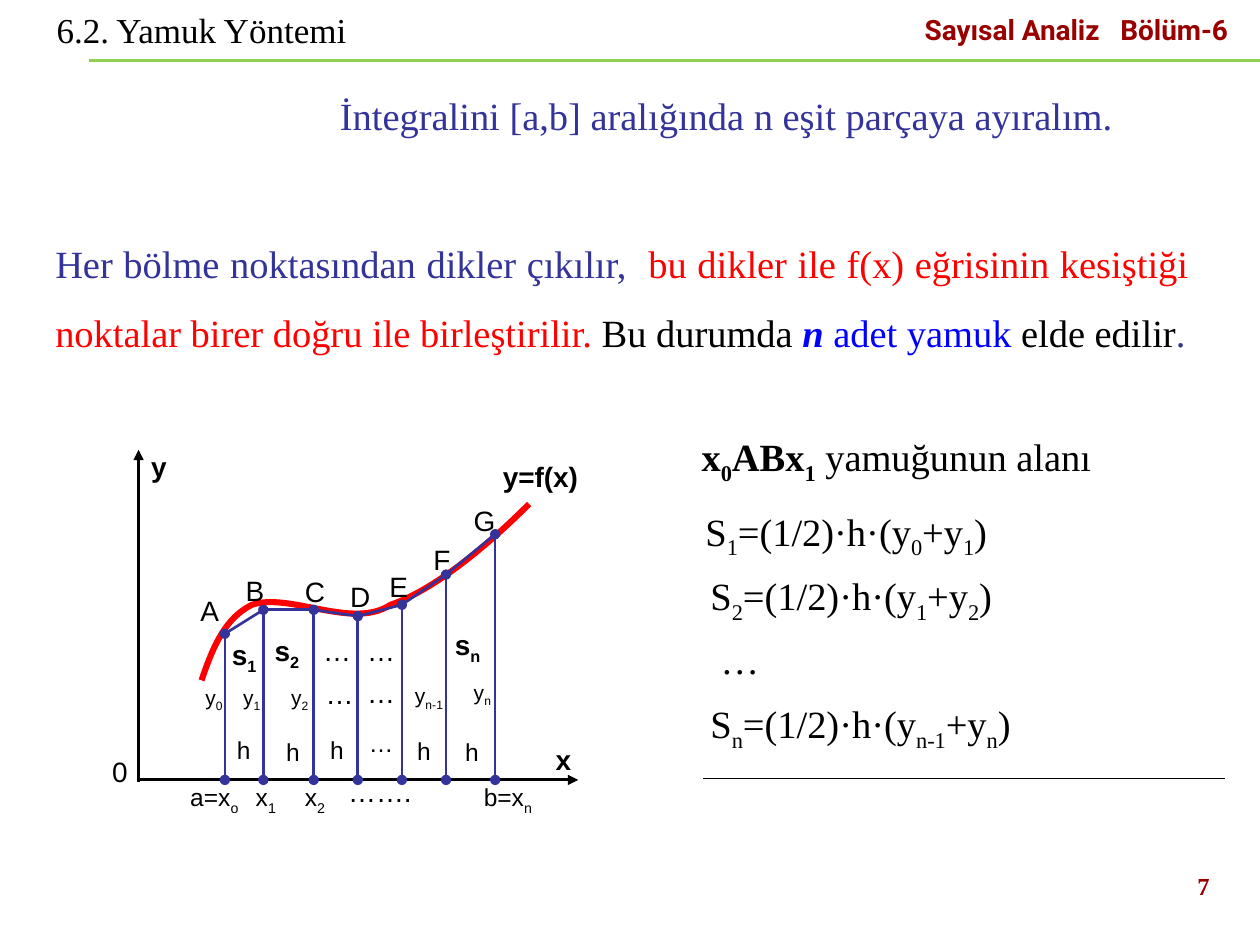
import itertools

import pptx
import pptx.dml.color
import pptx.enum.shapes
import pptx.enum.text
import pptx.oxml
import pptx.oxml.ns
import pptx.util

RGBColor = pptx.dml.color.RGBColor
Align = pptx.enum.text.PP_ALIGN
BLACK = RGBColor(0x00, 0x00, 0x00)
INDIGO = RGBColor(0x33, 0x33, 0x99)
RED = RGBColor(0xFF, 0x00, 0x00)
BLUE = RGBColor(0x00, 0x00, 0xFF)
MAROON = RGBColor(0x99, 0x00, 0x00)
GREEN = RGBColor(0x92, 0xD0, 0x50)
SERIF = "Times New Roman"

deck = pptx.Presentation()
deck.slide_width = pptx.util.Inches(10)
deck.slide_height = pptx.util.Inches(7.5)
slide = deck.slides.add_slide(deck.slide_layouts[6])

# Grid of 100 columns by 75 rows
COL = deck.slide_width / 100
ROW = deck.slide_height / 75


def write(text, left, top, width, height, size=16, font="Arial", color=BLACK, bold=False,
          italic=False, align=Align.LEFT, spacing=None, margins=(0.2, 0), wrap=True):
    """Text is a string or a list of (string, format) parts; {braces} mark subscripts."""
    box = slide.shapes.add_textbox(int(left * COL), int(top * ROW), int(width * COL), int(height * ROW))
    frame = box.text_frame
    frame.word_wrap = wrap
    frame.margin_left = frame.margin_right = int(margins[0] * COL)
    frame.margin_top = frame.margin_bottom = int(margins[1] * ROW)
    paragraph = frame.paragraphs[0]
    paragraph.alignment = align
    if spacing:
        paragraph.line_spacing = spacing
    base = {"color": color, "bold": bold, "italic": italic}
    for part, changes in [(text, {})] if isinstance(text, str) else text:
        look = {**base, **changes}
        for index, piece in enumerate(part.replace("}", "{").split("{")):
            if not piece:
                continue
            run = paragraph.add_run()
            run.text = piece
            run.font.name = font
            run.font.size = pptx.util.Pt(size)
            run.font.bold = look["bold"]
            run.font.italic = look["italic"]
            run.font.color.rgb = look["color"]
            if index % 2:
                run._r.get_or_add_rPr().set("baseline", "-25000")


def draw_line(start, end, color, weight, head=None, tail=None):
    line = slide.shapes.add_connector(
        pptx.enum.shapes.MSO_CONNECTOR.STRAIGHT,
        int(start[0] * COL), int(start[1] * ROW), int(end[0] * COL), int(end[1] * ROW))
    line.line.color.rgb = color
    line.line.width = pptx.util.Pt(weight)
    stroke = line.line._get_or_add_ln()
    for tag, kind in (("a:headEnd", head), ("a:tailEnd", tail)):
        if kind:
            stroke.append(pptx.oxml.parse_xml(
                f'<{tag} {pptx.oxml.ns.nsdecls("a")} type="{kind}"/>'))
    line._element.spPr.append(
        pptx.oxml.parse_xml(f'<a:effectLst {pptx.oxml.ns.nsdecls("a")}/>'))


# Header and slide number
PROSE = {"font": SERIF, "margins": (1, 0.5)}
draw_line((7.1, 4.8), (100, 4.8), GREEN, 2)
write("6.2. Yamuk Yöntemi", 3.5, 0.2, 28.2, 4.4, size=20, **PROSE)
write("Sayısal Analiz   Bölüm-6", 72.4, 1, 26.8, 5.3, font="Roboto", color=MAROON,
      bold=True, spacing=0.8, margins=(1, 0.5))
write("7", 89.4, 68.6, 7.6, 5.2, size=14, color=MAROON, bold=True, align=Align.RIGHT, **PROSE)

# Explanation
write("İntegralini [a,b] aralığında n eşit parçaya ayıralım.", 26, 6.8, 65, 6.7,
      size=22, color=INDIGO, align=Align.JUSTIFY, **PROSE)
write([("Her bölme noktasından dikler çıkılır,  ", {"color": INDIGO}),
       ("bu dikler ile f(x) eğrisinin kesiştiği noktalar birer doğru ile birleştirilir. ",
        {"color": RED}),
       ("Bu durumda ", {}),
       ("n", {"color": BLUE, "bold": True, "italic": True}),
       (" adet yamuk ", {"color": BLUE}),
       ("elde edilir", {}),
       (".", {"color": INDIGO})],
      3.4, 16.7, 91.9, 14.5, size=22, align=Align.JUSTIFY, spacing=1.5, **PROSE)

# Axes
AXIS_ROW = 61.9
draw_line((10.9, AXIS_ROW), (45.9, AXIS_ROW), BLACK, 1.75, tail="triangle")
draw_line((11, 35.7), (11, 62.1), BLACK, 1.75, head="triangle")

# Curve: a start point, then three points for each Bézier segment
curve_points = [(15.6, 53.6), (16.8, 51.4), (18, 49.2), (20.5, 48.3), (23.1, 47.4),
                (27.5, 49.6), (31, 48.3), (34.5, 47), (38.1, 43.7), (41.6, 40.5)]
builder = slide.shapes.build_freeform(*curve_points[0], scale=COL)
builder.add_line_segments(curve_points[1:], close=False)
curve = builder.convert_to_shape()
curve.shadow.inherit = False
curve.fill.background()
curve.line.color.rgb = RED
curve.line.width = pptx.util.Pt(3.5)
segments = curve._element.findall(".//" + pptx.oxml.ns.qn("a:lnTo"))
outline = segments[0].getparent()
for first in range(0, len(segments), 3):
    bezier = pptx.oxml.parse_xml(f'<a:cubicBezTo {pptx.oxml.ns.nsdecls("a")}/>')
    for segment in segments[first:first + 3]:
        bezier.append(segment[0])
        outline.remove(segment)
    outline.append(bezier)

# Ordinates and the chords between them
curve_tops = [(17.85, 50.3), (20.9, 48.4), (24.9, 48.4), (28.4, 48.9),
              (31.9, 48), (35.4, 45.6), (39.3, 42.4)]
for column, top in curve_tops:
    draw_line((column, top), (column, AXIS_ROW), INDIGO, 1.5, head="oval", tail="oval")
for start, end in itertools.pairwise(curve_tops):
    draw_line(start, end, INDIGO, 1.5)

# Graph labels: shared format, then text with its column and row
label_groups = [
    ({"size": 16}, [("0", 8.7, 59.9), ("A", 15.7, 47.1), ("B", 19.3, 45.5), ("C", 24, 45.6),
                    ("D", 27.6, 46), ("E", 30.7, 45.2), ("F", 34.2, 43.1), ("G", 37.4, 40)]),
    ({"size": 16, "bold": True}, [("y", 11.8, 35.7), ("x", 43.9, 58.9), ("s{1}", 18.2, 50.6),
                                  ("s{2}", 21.6, 50.3), ("s{n}", 35.9, 49.8)]),
    ({"size": 14}, [("x{1}", 20.1, 62.1), ("x{2}", 24, 62.1)]),
    ({"size": 14, "align": Align.CENTER}, [("h", 17.2, 58.3), ("h", 21.1, 58.5), ("h", 24.6, 58.3),
                                           ("…", 28.1, 57.8), ("h", 31.5, 58.4), ("h", 35.3, 58.5)]),
    ({"size": 12}, [("y{0}", 16.1, 54.3), ("y{1}", 19.1, 54.3), ("y{2}", 22.9, 54.3),
                    ("y{n}", 37.4, 53.9)]),
    ({"size": 12, "align": Align.CENTER}, [("y{n-1}", 31.9, 54.2)]),
    ({"size": 16, "align": Align.CENTER}, [("…", 24.6, 50.3), ("…", 28.1, 50.3),
                                           ("…", 24.8, 53.7), ("…", 28.1, 53.6)]),
]
for look, labels in label_groups:
    for text, column, row in labels:
        write(text, column, row, 4.3, 2.7, **look)
write("y=f(x)", 39.7, 36.5, 8.8, 2.7, bold=True)
write("a=x{o}", 14.9, 62.1, 7, 2.7, size=14)
write("b=x{n}", 38.2, 62.1, 7.4, 2.7, size=14)
write("…….", 27.4, 61.5, 5.5, 2.7, align=Align.CENTER, wrap=False)

# Trapezoid areas
area_lines = [
    ([("x{0}ABx{1}", {"bold": True}), (" yamuğunun alanı", {})], 54.7, 33.9),
    ("S{1}=(1/2)·h·(y{0}+y{1})", 55, 39.8),
    ("S{2}=(1/2)·h·(y{1}+y{2})", 55.4, 44.9),
    ("…", 56.2, 50),
    ("S{n}=(1/2)·h·(y{n-1}+y{n})", 55.4, 55.1),
]
for text, column, row in area_lines:
    write(text, column, row, 44.1, 5.5, size=22, **PROSE)
draw_line((55.8, 61.8), (97.2, 61.8), BLACK, 0.75)

deck.save("out.pptx")
